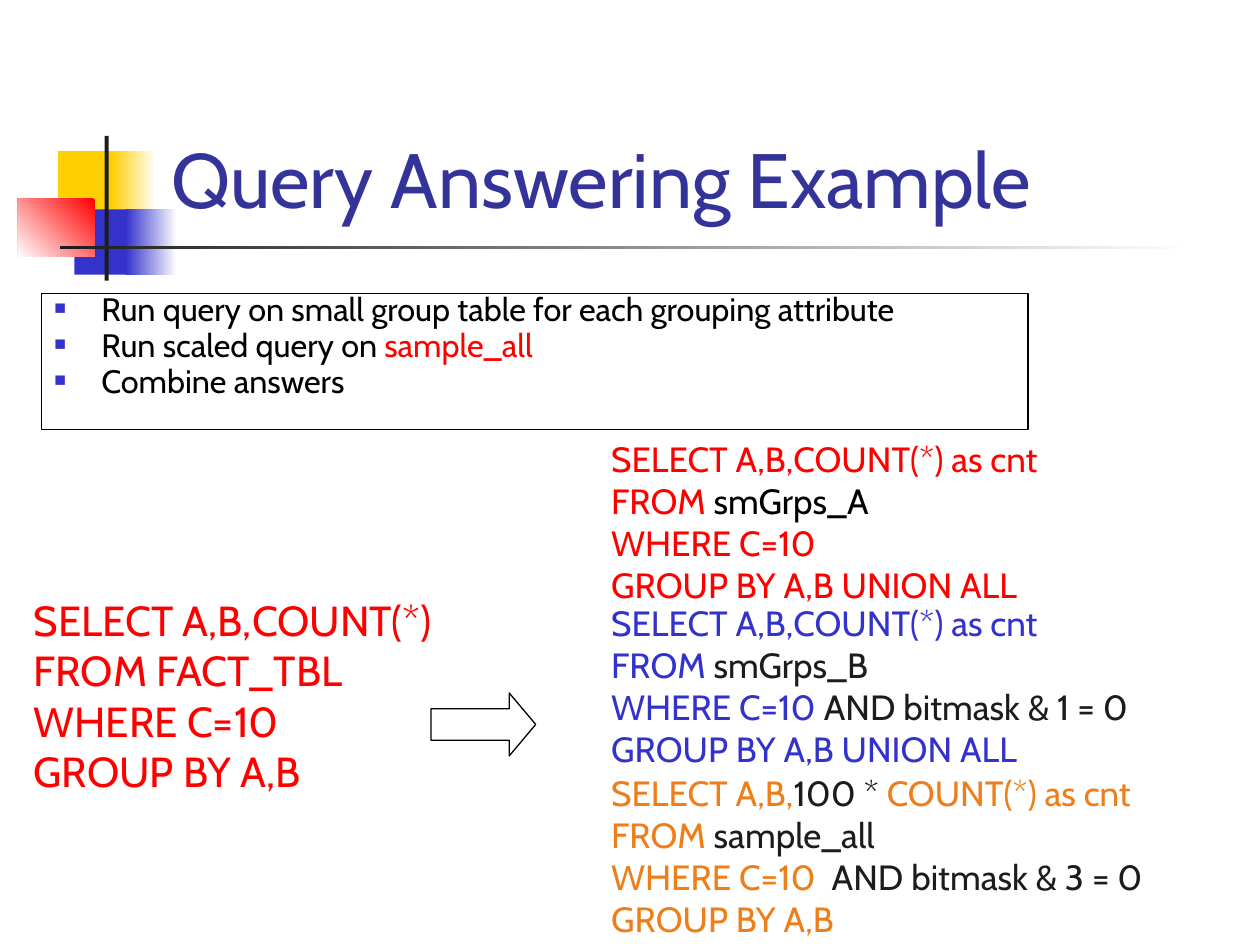
from lxml import etree
from pptx import Presentation
from pptx.dml.color import RGBColor
from pptx.enum.shapes import MSO_SHAPE
from pptx.enum.text import MSO_ANCHOR, MSO_AUTO_SIZE, PP_ALIGN
from pptx.oxml.ns import qn
from pptx.util import Cm, Pt

WHITE = RGBColor(0xFF, 0xFF, 0xFF)
BLACK = RGBColor(0x00, 0x00, 0x00)
CHARCOAL = RGBColor(0x1C, 0x1C, 0x1C)
YELLOW = RGBColor(0xFF, 0xCF, 0x01)
BLUE = RGBColor(0x33, 0x33, 0xCC)
NAVY = RGBColor(0x33, 0x33, 0x99)
RED = RGBColor(0xFF, 0x00, 0x00)
ORANGE = RGBColor(0xED, 0x7E, 0x19)
FONT = "Cabin"

# box in cm, colours (two make a gradient), counter-clockwise angle
ORNAMENTS = [
    ((1.17, 3.05, 1.22, 1.32), [YELLOW], 0),
    ((2.24, 3.05, 0.91, 1.32), [WHITE, YELLOW], 180),
    ((1.5, 4.22, 1.17, 1.32), [BLUE], 0),
    ((2.54, 4.22, 1.02, 1.32), [WHITE, BLUE], 180),
    ((0.36, 4.01, 1.55, 1.17), [RED, WHITE], 225),
    ((2.11, 2.74, 0.08, 2.92), [CHARCOAL], 0),
    ((1.22, 4.95, 22.86, 0.08), [WHITE, CHARCOAL], 180),
]

STEPS = [
    [("Run query on small group table for each grouping attribute", BLACK)],
    [("Run scaled query on ", BLACK), ("sample_all", RED)],
    [("Combine answers", BLACK)],
]

SOURCE_QUERY = [
    [("SELECT A,B,COUNT(*)", RED)],
    [("FROM FACT_TBL", RED)],
    [("WHERE C=10", RED)],
    [("GROUP BY A,B", RED)],
]

GROUP_A_QUERY = [
    [("SELECT A,B,COUNT(*) as cnt", RED)],
    [("FROM ", RED), ("smGrps_A", BLACK)],
    [("WHERE C=10", RED)],
    [("GROUP BY A,B UNION ALL", RED)],
]

GROUP_B_QUERY = [
    [("SELECT A,B,COUNT(*) as cnt", BLUE)],
    [("FROM ", BLUE), ("smGrps_B", CHARCOAL)],
    [("WHERE C=10 ", BLUE), ("AND bitmask & 1 = 0", CHARCOAL)],
    [("GROUP BY A,B UNION ALL", BLUE)],
]

SAMPLE_QUERY = [
    [("SELECT A,B,", ORANGE), ("100 *", CHARCOAL), (" COUNT(*) as cnt", ORANGE)],
    [("FROM ", ORANGE), ("sample_all", CHARCOAL)],
    [("WHERE C=10  ", ORANGE), ("AND bitmask & 3 = 0", CHARCOAL)],
    [("GROUP BY A,B", ORANGE)],
]


def set_attributes(target, values):
    for name, value in values.items():
        setattr(target, name, value)


def place(shape, box):
    names = ("left", "top", "width", "height")
    set_attributes(shape, {name: Cm(value) for name, value in zip(names, box)})


def write_lines(text_frame, lines, size):
    """Write one paragraph per line; a line is a list of (text, colour) runs."""
    for index, line in enumerate(lines):
        paragraph = text_frame.paragraphs[0] if index == 0 else text_frame.add_paragraph()
        paragraph.alignment = PP_ALIGN.LEFT
        for text, color in line:
            run = paragraph.add_run()
            run.text = text
            set_attributes(run.font, {"name": FONT, "size": Pt(size)})
            run.font.color.rgb = color


def add_bullet(paragraph):
    properties = paragraph._p.get_or_add_pPr()
    properties.set("marL", str(Cm(0.95)))
    properties.set("indent", str(-Cm(0.95)))
    bullet_color = etree.SubElement(properties, qn("a:buClr"))
    etree.SubElement(bullet_color, qn("a:srgbClr"), val=str(BLUE))
    etree.SubElement(properties, qn("a:buSzPct"), val="60000")
    etree.SubElement(properties, qn("a:buChar"), char="■")


def add_ornament(slide, box, colors, angle):
    shape = slide.shapes.add_shape(MSO_SHAPE.RECTANGLE, *map(Cm, box))
    shape.shadow.inherit = False
    shape.line.fill.background()
    if len(colors) == 1:
        shape.fill.solid()
        shape.fill.fore_color.rgb = colors[0]
        return
    shape.fill.gradient()
    shape.fill.gradient_angle = angle
    for stop, color in zip(shape.fill.gradient_stops, colors):
        stop.color.rgb = color


def add_outline(slide, preset, box, line_width):
    shape = slide.shapes.add_shape(preset, *map(Cm, box))
    shape.shadow.inherit = False
    shape.fill.background()
    shape.line.color.rgb = BLACK
    shape.line.width = Pt(line_width)
    return shape


def add_query(slide, box, lines, size):
    text_frame = slide.shapes.add_textbox(*map(Cm, box)).text_frame
    set_attributes(text_frame, {"word_wrap": True,
                                "auto_size": MSO_AUTO_SIZE.SHAPE_TO_FIT_TEXT})
    write_lines(text_frame, lines, size)


def bring_to_front(shape):
    shape.element.getparent().append(shape.element)


def fill_title(title):
    place(title, (3.2, 0.58, 21.64, 4.06))
    set_attributes(title.text_frame, {"vertical_anchor": MSO_ANCHOR.BOTTOM,
                                      "auto_size": MSO_AUTO_SIZE.NONE})
    write_lines(title.text_frame, [[("Query Answering Example", NAVY)]], 44)
    bring_to_front(title)


def fill_steps(body):
    place(body, (0.84, 5.92, 20.12, 2.97))
    body.text_frame.auto_size = MSO_AUTO_SIZE.NONE
    write_lines(body.text_frame, STEPS, 18.5)
    for index, paragraph in enumerate(body.text_frame.paragraphs):
        set_attributes(paragraph, {"line_spacing": 0.7,
                                   "space_before": Pt(5 if index else 0)})
        add_bullet(paragraph)
    bring_to_front(body)


def main():
    presentation = Presentation()
    set_attributes(presentation, {"slide_width": Cm(25.4), "slide_height": Cm(19.05)})
    slide = presentation.slides.add_slide(presentation.slide_layouts[1])

    for box, colors, angle in ORNAMENTS:
        add_ornament(slide, box, colors, angle)
    fill_title(slide.shapes.title)
    fill_steps(slide.placeholders[1])

    add_query(slide, (0.43, 11.86, 9.32, 4.32), SOURCE_QUERY, 24)
    arrow = add_outline(slide, MSO_SHAPE.RIGHT_ARROW, (8.69, 13.97, 2.11, 1.27), 0.75)
    arrow.adjustments[1] = 0.42
    for top, lines in ((8.69, GROUP_A_QUERY), (12.01, GROUP_B_QUERY), (15.42, SAMPLE_QUERY)):
        add_query(slide, (12.07, top, 12.7, 3.66), lines, 20)
    add_outline(slide, MSO_SHAPE.RECTANGLE, (0.84, 5.92, 19.89, 2.74), 1)

    presentation.save("out.pptx")


if __name__ == "__main__":
    main()
